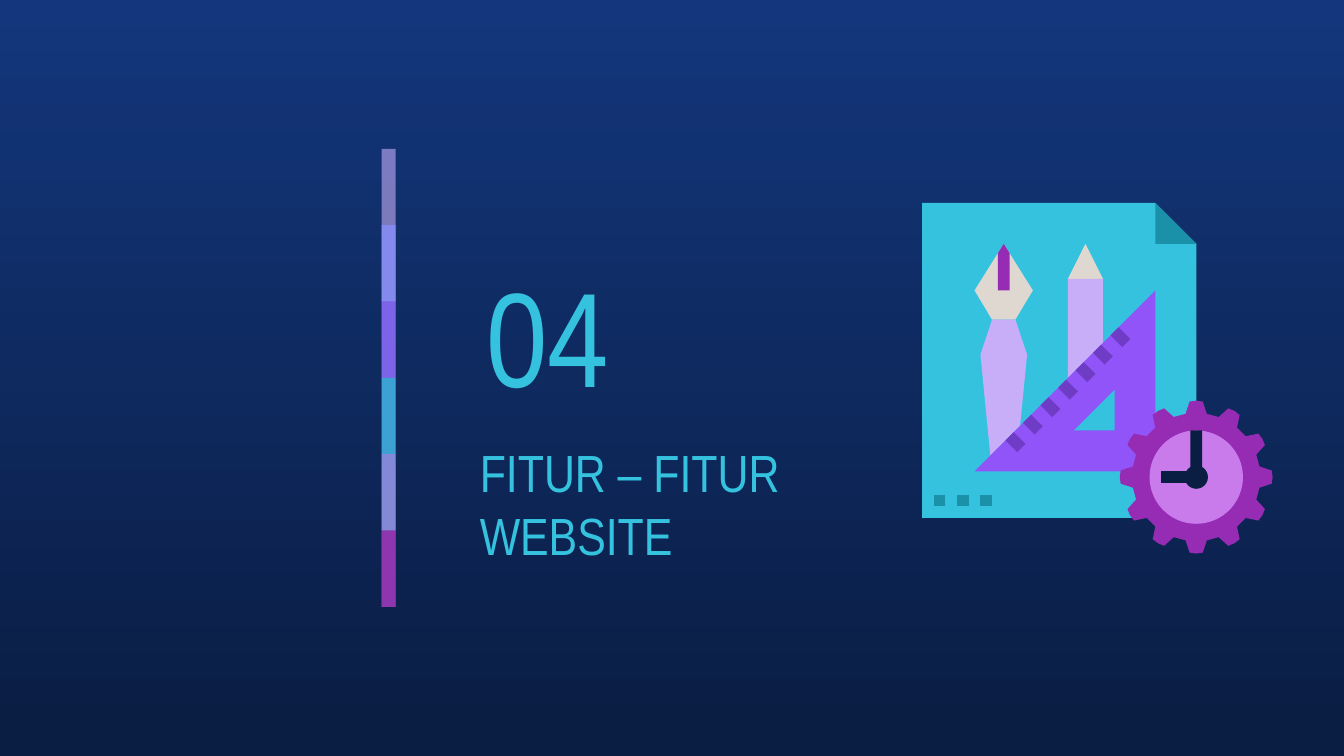
import math

from lxml import etree
from pptx import Presentation
from pptx.dml.color import RGBColor
from pptx.enum import shapes, text
from pptx.oxml.ns import qn
from pptx.util import Pt

FONT = "Arial Narrow"
BG_TOP = RGBColor(0x13, 0x36, 0x7C)
NAVY = RGBColor(0x0A, 0x1D, 0x42)
CYAN = RGBColor(0x35, 0xC2, 0xDF)
TEAL = RGBColor(0x1B, 0x91, 0xA9)
LILAC = RGBColor(0xC8, 0xAE, 0xF8)
PERIWINKLE = RGBColor(0x87, 0x8F, 0xFF)
VIOLET = RGBColor(0x91, 0x54, 0xF8)
INDIGO = RGBColor(0x6F, 0x3C, 0xC6)
ORCHID = RGBColor(0xCA, 0x7B, 0xEB)
PURPLE = RGBColor(0x97, 0x2C, 0xB4)
CREAM = RGBColor(0xDE, 0xD8, 0xD0)

# The icon is drawn on a square grid.
ICON_LEFT, ICON_TOP, UNIT = 494, 108.75, 6.25
GEAR_CENTER = 23.5


def paint(sp, color, opacity=100):
    sp.shadow.inherit = False
    sp.line.fill.background()
    sp.fill.solid()
    sp.fill.fore_color.rgb = color
    if opacity < 100:
        clr = sp.fill._xPr.find(qn("a:solidFill"))[0]
        etree.SubElement(clr, qn("a:alpha"), val=str(opacity * 1000))


def set_background(s):
    fill = s.background.fill
    fill.gradient()
    fill.gradient_angle = 270
    for stop, color in zip(fill.gradient_stops, (BG_TOP, NAVY)):
        stop.color.rgb = color


def add_color_bar(s):
    """Translucent blocks, each overlapping the upper half of the next."""
    left, top, width, step = 204.5, 79.75, 7.5, 40.9
    blocks = [(LILAC, 59), (PERIWINKLE, 74), (VIOLET, 53),
              (CYAN, 76), (ORCHID, 56), (PURPLE, 74)]
    group = s.shapes.add_group_shape()
    for i, (color, opacity) in enumerate(blocks):
        height = step if i == len(blocks) - 1 else 2 * step
        sp = group.shapes.add_shape(
            shapes.MSO_SHAPE.RECTANGLE,
            Pt(left), Pt(top + i * step), Pt(width), Pt(height))
        paint(sp, color, opacity)


def add_text(s, content, size, left, top, width, height):
    tf = s.shapes.add_textbox(Pt(left), Pt(top), Pt(width), Pt(height)).text_frame
    tf.word_wrap = True
    tf.vertical_anchor = text.MSO_ANCHOR.MIDDLE
    tf.margin_left = tf.margin_right = tf.margin_top = tf.margin_bottom = Pt(7.2)
    r = tf.paragraphs[0].add_run()
    r.text = content
    r.font.name = FONT
    r.font.size = Pt(size)
    r.font.color.rgb = CYAN


def grid_point(x, y):
    return Pt(ICON_LEFT + x * UNIT), Pt(ICON_TOP + y * UNIT)


def add_polygon(group, color, *outlines):
    """Fill closed outlines in grid units; later outlines cut holes."""
    builder = None
    for outline in outlines:
        start, *rest = [grid_point(x, y) for x, y in outline]
        if builder is None:
            builder = group.shapes.build_freeform(*start)
        else:
            builder.move_to(*start)
        builder.add_line_segments(rest, close=True)
    paint(builder.convert_to_shape(), color)


def add_disc(group, color, radius):
    left, top = grid_point(GEAR_CENTER - radius, GEAR_CENTER - radius)
    size = Pt(2 * radius * UNIT)
    paint(group.shapes.add_shape(shapes.MSO_SHAPE.OVAL, left, top, size, size), color)


def gear_outline(teeth=12):
    profile = [(5.5, -9.5), (6.5, -5), (6.55, 0), (6.5, 5), (5.5, 9.5)]
    points = []
    for i in range(teeth):
        for radius, offset in profile:
            angle = math.radians(i * 360 / teeth + offset)
            points.append((GEAR_CENTER + radius * math.sin(angle),
                           GEAR_CENTER - radius * math.cos(angle)))
    return points


def add_sheet(group):
    add_polygon(group, CYAN, [(0, 0), (0, 27), (23.5, 27), (23.5, 3.5), (20, 0)])
    add_polygon(group, TEAL, [(20, 0), (20, 3.5), (23.5, 3.5)])
    for x in (1, 3, 5):
        add_polygon(group, TEAL, [(x, 25), (x, 26), (x + 1, 26), (x + 1, 25)])


def add_pencil(group):
    add_polygon(group, CREAM, [(14, 3.5), (12.5, 6.5), (15.5, 6.5)])
    add_polygon(group, LILAC, [(12.5, 6.5), (12.5, 15), (15.5, 12), (15.5, 6.5)])


def add_pen(group):
    add_polygon(group, CREAM, [(7, 3.5), (4.5, 7.5), (6, 10), (8, 10), (9.5, 7.5)])
    add_polygon(group, LILAC, [(6, 10), (5, 13), (5.85, 21.65),
                               (8.4, 19.1), (9, 13), (8, 10)])
    add_polygon(group, PURPLE, [(7, 3.5), (6.5, 4.3), (6.5, 7.5),
                                (7.5, 7.5), (7.5, 4.3)])


def add_set_square(group):
    add_polygon(group, VIOLET, [(20, 7.5), (4.5, 23), (20, 23)],
                [(16.5, 16), (16.5, 19.5), (13, 19.5)])
    mark = [(7.85, 19.65), (7.15, 20.35), (8.15, 21.35), (8.85, 20.65)]
    for i in range(7):
        shift = 1.5 * i
        add_polygon(group, INDIGO, [(x + shift, y - shift) for x, y in mark])


def add_gear_clock(group):
    add_polygon(group, PURPLE, gear_outline())
    add_disc(group, ORCHID, 4)
    add_polygon(group, NAVY, [(23, 19.5), (23, 23), (20.5, 23),
                              (20.5, 24), (24, 24), (24, 19.5)])
    add_disc(group, NAVY, 1)


def add_design_icon(s):
    group = s.shapes.add_group_shape()
    for add_part in (add_sheet, add_pencil, add_pen, add_set_square, add_gear_clock):
        add_part(group)


def main():
    prs = Presentation()
    prs.slide_width, prs.slide_height = Pt(720), Pt(405)
    s = prs.slides.add_slide(prs.slide_layouts[6])
    set_background(s)
    add_color_bar(s)
    add_text(s, "04", 72, 253.5, 130.5, 126, 97)
    add_text(s, "FITUR – FITUR WEBSITE", 28, 250, 215.5, 227.5, 108)
    add_design_icon(s)
    prs.save("out.pptx")


if __name__ == "__main__":
    main()
